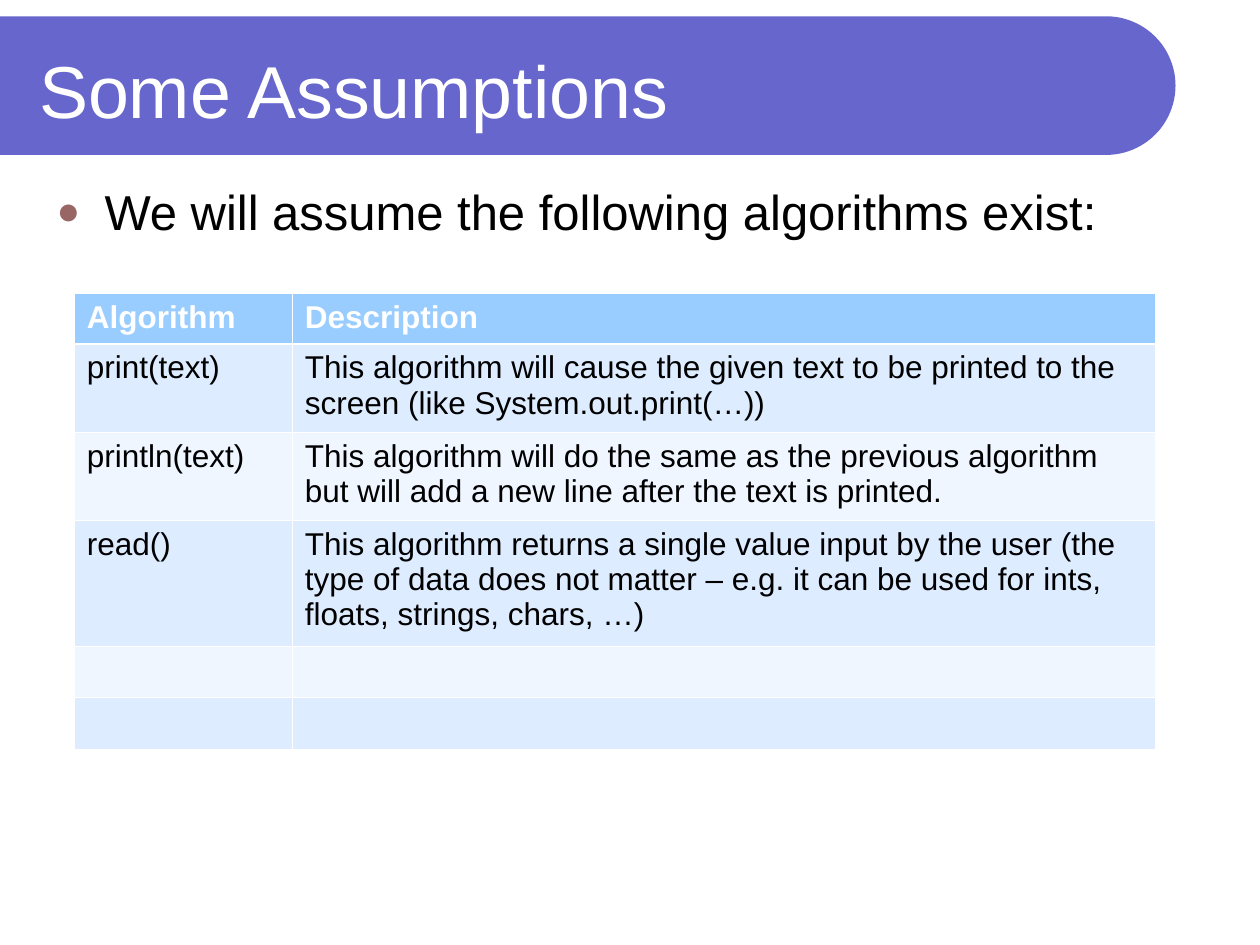
from math import cos, pi, sin

from lxml.etree import SubElement
from pptx import Presentation
from pptx.dml.color import RGBColor
from pptx.enum.text import MSO_ANCHOR, MSO_AUTO_SIZE, PP_ALIGN
from pptx.oxml.ns import qn
from pptx.util import Inches, Pt

WHITE = RGBColor(0xFF, 0xFF, 0xFF)
BLACK = RGBColor(0, 0, 0)
BANNER_PURPLE = RGBColor(0x66, 0x66, 0xCC)
BULLET_BROWN = RGBColor(0x99, 0x66, 0x66)
HEADER_BLUE = RGBColor(0x99, 0xCC, 0xFF)
BAND_BLUES = (RGBColor(0xDE, 0xEC, 0xFF), RGBColor(0xEF, 0xF6, 0xFF))

COLUMN_WIDTHS = (1.73, 6.85)
ROW_HEIGHTS = (0.4, 0.7, 0.7, 1, 0.4, 0.41)
ROWS = (
    ("Algorithm", "Description"),
    ("print(text)", "This algorithm will cause the given text to be printed "
     "to the screen (like System.out.print(…))"),
    ("println(text)", "This algorithm will do the same as the previous "
     "algorithm but will add a new line after the text is printed."),
    ("read()", "This algorithm returns a single value input by the user (the "
     "type of data does not matter – e.g. it can be used for ints, floats, "
     "strings, chars, …)"),
    ("", ""),
    ("", ""),
)


def write_text(frame, text, size=18, color=BLACK, bold=False):
    paragraph = frame.paragraphs[0]
    paragraph.alignment = PP_ALIGN.LEFT
    paragraph.font.size = Pt(size)
    if text:
        run = paragraph.add_run()
        run.text = text
        run.font.name = "Arial"
        run.font.size = Pt(size)
        run.font.bold = bold
        run.font.color.rgb = color
    return paragraph


def place(shape, left, top, width, height):
    shape.left, shape.top = Inches(left), Inches(top)
    shape.width, shape.height = Inches(width), Inches(height)


def add_banner(slide, left, top, width, height):
    """Draw a bar with a half-round right end, behind everything else."""
    radius = height / 2
    center_x, center_y = left + width - radius, top + radius
    steps = 48
    angles = [pi * (step / steps - 0.5) for step in range(steps + 1)]
    points = [(Inches(center_x + radius * cos(angle)),
               Inches(center_y + radius * sin(angle))) for angle in angles]
    points.append((Inches(left), Inches(top + height)))
    builder = slide.shapes.build_freeform(Inches(left), Inches(top))
    builder.add_line_segments(points, close=True)
    banner = builder.convert_to_shape()
    banner.shadow.inherit = False
    banner.fill.solid()
    banner.fill.fore_color.rgb = BANNER_PURPLE
    banner.line.fill.background()
    slide.shapes._spTree.insert(2, banner._element)


def fill_title(slide, left, top, width, height):
    title = slide.shapes.title
    place(title, left, top, width, height)
    frame = title.text_frame
    frame.auto_size = MSO_AUTO_SIZE.NONE
    frame.vertical_anchor = MSO_ANCHOR.MIDDLE
    write_text(frame, "Some Assumptions", size=42, color=WHITE)


def fill_body(slide, left, top, width, height):
    body = slide.placeholders[1]
    place(body, left, top, width, height)
    frame = body.text_frame
    frame.auto_size = MSO_AUTO_SIZE.NONE
    paragraph = write_text(
        frame, "We will assume the following algorithms exist:", size=28)
    paragraph.space_before = Pt(7)

    # Hanging round bullet
    properties = paragraph._p.get_or_add_pPr()
    properties.set("marL", str(Inches(0.38)))
    properties.set("indent", str(-Inches(0.38)))
    bullet_color = SubElement(properties, qn("a:buClr"))
    SubElement(bullet_color, qn("a:srgbClr"), val=str(BULLET_BROWN))
    SubElement(properties, qn("a:buSzPct"), val="80000")
    SubElement(properties, qn("a:buFont"), typeface="Arial")
    SubElement(properties, qn("a:buChar"), char="●")
    # Keep the schema order: the default run format follows the bullet
    default_format = properties.find(qn("a:defRPr"))
    if default_format is not None:
        properties.append(default_format)


def set_borders(cell, **widths):
    properties = cell._tc.get_or_add_tcPr()
    for side in "LRTB":
        width = Pt(widths.get(side, 0.45))
        line = SubElement(properties, qn(f"a:ln{side}"), w=str(width))
        fill = SubElement(line, qn("a:solidFill"))
        SubElement(fill, qn("a:srgbClr"), val=str(WHITE))


def add_algorithm_table(slide, left, top, width, height):
    table = slide.shapes.add_table(
        len(ROWS), len(COLUMN_WIDTHS), Inches(left), Inches(top),
        Inches(width), Inches(height)).table
    for column, column_width in zip(table.columns, COLUMN_WIDTHS):
        column.width = Inches(column_width)
    for row, row_height in zip(table.rows, ROW_HEIGHTS):
        row.height = Inches(row_height)

    for row_index, texts in enumerate(ROWS):
        is_header = row_index == 0
        # A heavier rule separates the header from the first row
        heavy = {0: {"B": 1.47}, 1: {"T": 1.47}}.get(row_index, {})
        fill_color = HEADER_BLUE if is_header else BAND_BLUES[(row_index - 1) % 2]
        for column_index, text in enumerate(texts):
            cell = table.cell(row_index, column_index)
            set_borders(cell, **heavy)
            cell.fill.solid()
            cell.fill.fore_color.rgb = fill_color
            write_text(cell.text_frame, text, bold=is_header,
                       color=WHITE if is_header else BLACK)


def main():
    presentation = Presentation()
    presentation.slide_width = Inches(10)
    presentation.slide_height = Inches(7.5)
    slide = presentation.slides.add_slide(presentation.slide_layouts[1])
    add_banner(slide, 0, 0.13, 9.33, 1.1)
    fill_title(slide, 0.21, 0.21, 8.77, 1)
    fill_body(slide, 0.35, 1.39, 9.29, 5.75)
    add_algorithm_table(slide, 0.59, 2.33, sum(COLUMN_WIDTHS), sum(ROW_HEIGHTS))
    presentation.save("out.pptx")


if __name__ == "__main__":
    main()
